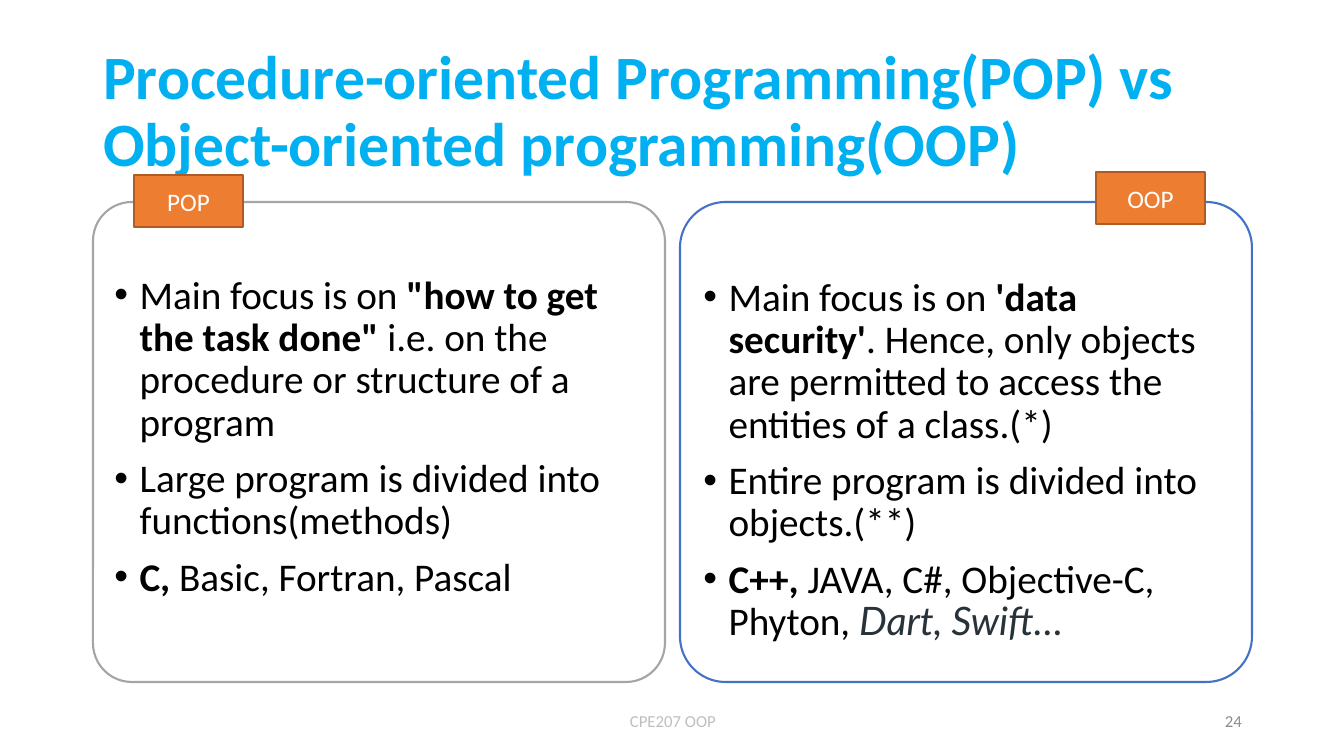
from lxml.etree import SubElement
from pptx import Presentation
from pptx.dml.color import RGBColor
from pptx.enum.shapes import MSO_SHAPE as Shape
from pptx.enum.text import MSO_ANCHOR as Anchor, MSO_AUTO_SIZE as Fit, PP_ALIGN as Align
from pptx.oxml.ns import qn
from pptx.util import Pt

WIDE, HIGH = 1344, 756
SCALE = 12192000 / WIDE


def px(n):
    return round(n * SCALE)


def color(code):
    return RGBColor.from_string(code)


class Deck:
    font, ink = "Calibri", "000000"

    def __init__(self):
        self.prs = Presentation()
        self.prs.slide_width, self.prs.slide_height = px(WIDE), px(HIGH)
        self.slide = self.prs.slides.add_slide(self.prs.slide_layouts[3])

    def place(self, item, box):
        item.left, item.top, item.width, item.height = map(px, box)

    def frame(self, item, anchor):
        text = item.text_frame
        text.word_wrap, text.auto_size = True, Fit.NONE
        text.vertical_anchor = anchor
        return text

    def run(self, para, words, size, ink=None, bold=False, slant=False, font=None):
        run = para.add_run()
        run.text = words
        face = run.font
        face.name, face.size = font or self.font, Pt(size)
        face.bold, face.italic = bold, slant
        face.color.rgb = color(ink or self.ink)

    def title(self, box, words, size, ink):
        item = self.slide.shapes.title
        self.place(item, box)
        para = self.frame(item, Anchor.MIDDLE).paragraphs[0]
        para.alignment, para.line_spacing = Align.LEFT, 0.9
        self.run(para, words, size, ink, bold=True)

    def panel(self, index, box, curve, edge, items):
        item = self.slide.placeholders[index]
        self.place(item, box)
        # Rounded outline
        geom = SubElement(item._element.spPr, qn("a:prstGeom"), prst="roundRect")
        guides = SubElement(geom, qn("a:avLst"))
        SubElement(guides, qn("a:gd"), name="adj", fmla=f"val {curve}")
        item.line.color.rgb, item.line.width = color(edge), Pt(1.5)
        # Bulleted list
        text = self.frame(item, Anchor.TOP)
        text.margin_top = px(62)
        for i, runs in enumerate(items):
            para = text.add_paragraph() if i else text.paragraphs[0]
            para.line_spacing, para.space_before = 0.9, Pt(10 if i else 0)
            props = para._p.get_or_add_pPr()
            props.set("marL", "228600")
            props.set("indent", "-228600")
            SubElement(props, qn("a:buFont"), typeface="Arial")
            SubElement(props, qn("a:buChar"), char="•")
            for words, style in runs:
                self.run(para, words, 28, **style)

    def badge(self, box, words):
        item = self.slide.shapes.add_shape(Shape.RECTANGLE, *map(px, box))
        item.shadow.inherit = False
        item.fill.solid()
        item.fill.fore_color.rgb = color("ED7D31")
        item.line.color.rgb, item.line.width = color("AF5C24"), Pt(1)
        para = self.frame(item, Anchor.MIDDLE).paragraphs[0]
        para.alignment = Align.CENTER
        self.run(para, words, 18, "FFFFFF")

    def note(self, box, words, ink, align):
        item = self.slide.shapes.add_textbox(*map(px, box))
        para = self.frame(item, Anchor.MIDDLE).paragraphs[0]
        para.alignment = align
        self.run(para, words, 12, ink)


def main():
    deck = Deck()
    plain, bold = {}, {"bold": True}
    other = {"font": "Lato", "ink": "273239", "slant": True}

    # Title
    deck.title((93, 40, 1159, 146),
               "Procedure-oriented Programming(POP) vs Object-oriented programming(OOP)",
               44, "00B0F0")

    # Compared lists
    deck.panel(1, (93, 202, 572, 480), 8100, "A5A5A5", [
        [("Main focus is on ", plain), ('"how to get the task done" ', bold),
         ("i.e. on the procedure or structure of a program", plain)],
        [("Large program is divided into functions(methods)", plain)],
        [("C, ", bold), ("Basic, Fortran, Pascal", plain)],
    ])
    deck.panel(2, (680, 202, 572, 480), 9500, "4472C4", [
        [("Main focus is on ", plain), ("'data security'", bold),
         (". Hence, only objects are permitted to access the entities of a class.(*)", plain)],
        [("Entire program is divided into objects.(**)", plain)],
        [("C++, ", bold), ("JAVA, C#, Objective-C, Phyton, ", plain),
         ("Dart, Swift…", other)],
    ])

    # Badges
    deck.badge((134, 175, 109, 52), "POP")
    deck.badge((1096, 172, 109, 52), "OOP")

    # Footer
    deck.note((446, 701, 454, 40), "CPE207 OOP", "BFBFBF", Align.CENTER)
    deck.note((950, 701, 302, 40), "24", "8C8C8C", Align.RIGHT)

    deck.prs.save("out.pptx")


if __name__ == "__main__":
    main()
